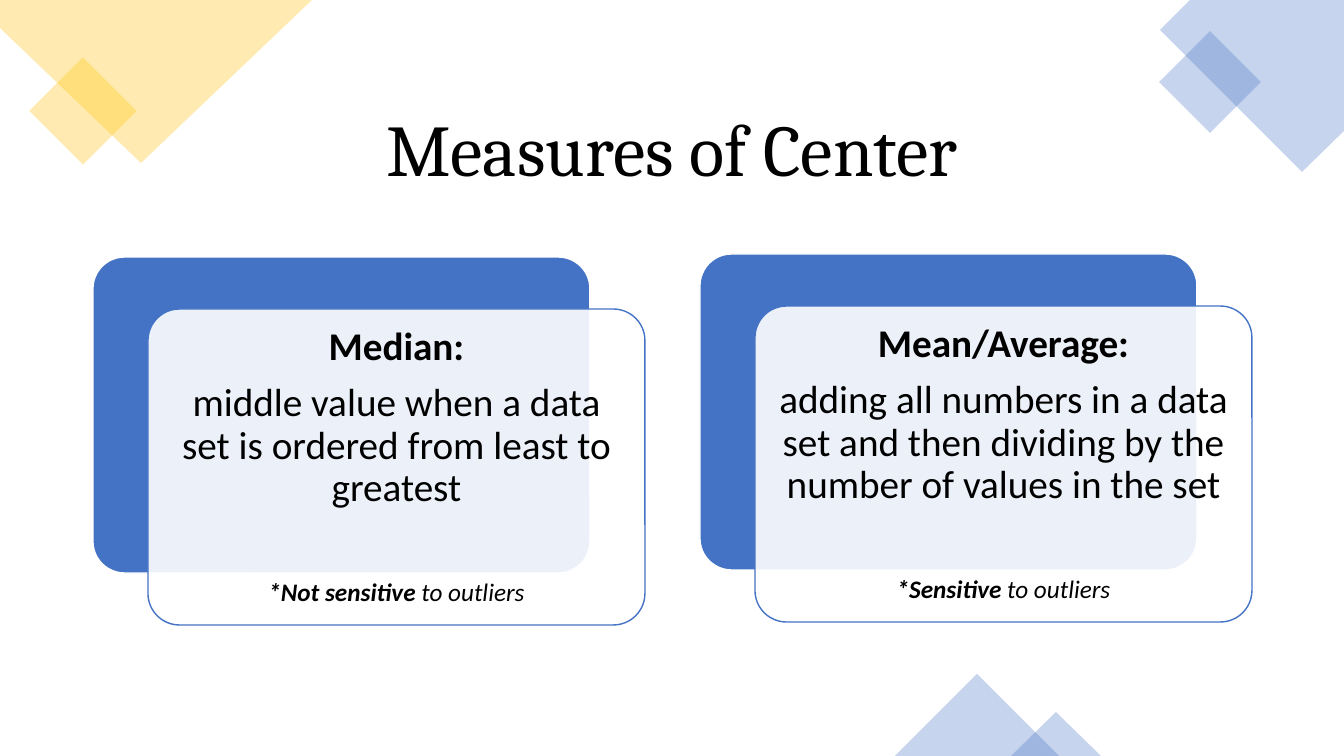
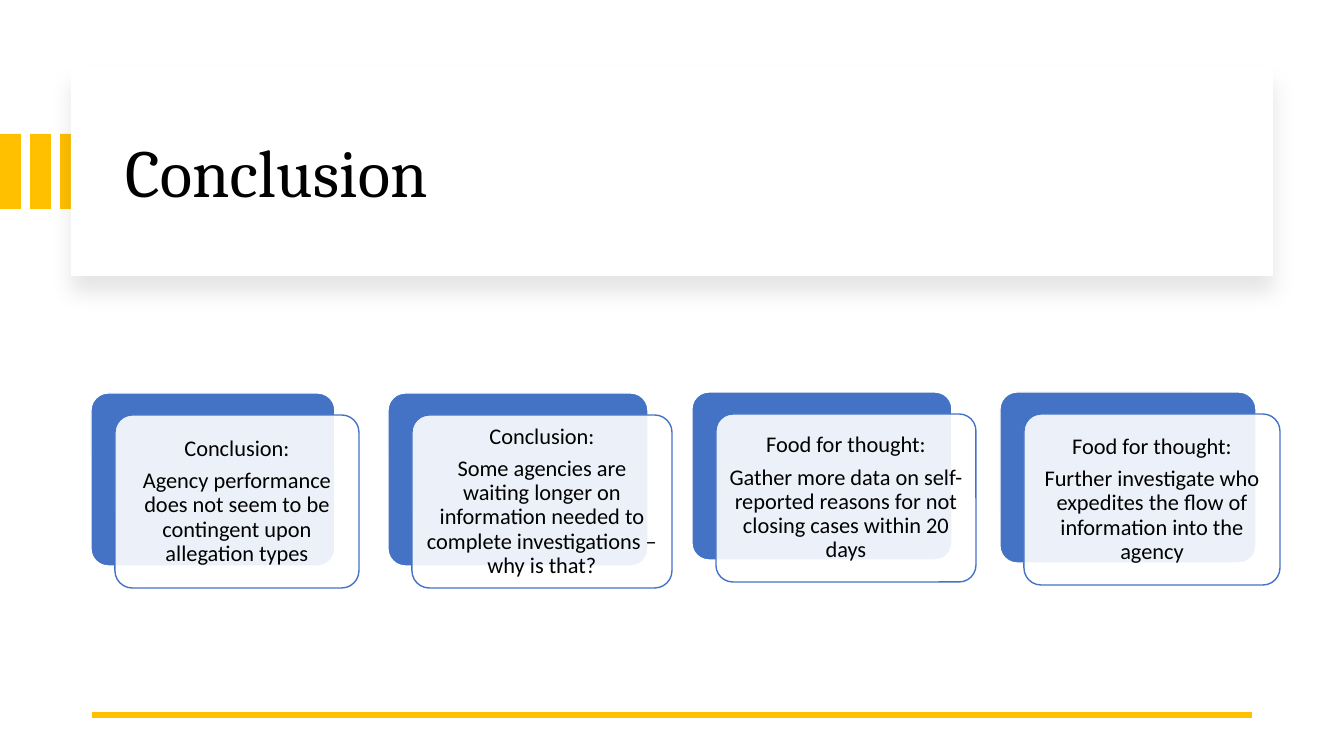
import pptx
import pptx.dml.color
import pptx.enum.shapes
import pptx.enum.text
import pptx.oxml
import pptx.oxml.ns
import pptx.util

PX = 914400 / 100.8
WIDTH, HEIGHT = 1344, 756
BLUE, GOLD, WHITE, BLACK = "4472C4", "FFC000", "FFFFFF", "000000"
LEFT = pptx.enum.text.PP_ALIGN.LEFT
CENTER = pptx.enum.text.PP_ALIGN.CENTER
MIDDLE = pptx.enum.text.MSO_ANCHOR.MIDDLE
RECTANGLE = pptx.enum.shapes.MSO_SHAPE.RECTANGLE
ROUNDED = pptx.enum.shapes.MSO_SHAPE.ROUNDED_RECTANGLE
TRIANGLE = pptx.enum.shapes.MSO_SHAPE.ISOSCELES_TRIANGLE
qn = pptx.oxml.ns.qn


def paint(fill, color, opacity=100):
    """Give a shape, line or font fill a solid colour."""
    fill.solid()
    fill.fore_color.rgb = pptx.dml.color.RGBColor.from_string(color)
    if opacity < 100:
        color_element = fill._xPr.find(qn("a:solidFill"))[0]
        alpha = color_element.makeelement(qn("a:alpha"), {"val": str(opacity * 1000)})
        color_element.append(alpha)


def write(frame, text, size, font="Calibri", align=CENTER, bold=False,
          italic=False, before=0, after=0, same_line=False):
    """Add text to a frame as a new paragraph, or at the end of the last one."""
    paragraph = frame.paragraphs[-1]
    if paragraph.runs and not same_line:
        paragraph = frame.add_paragraph()
    if not same_line:
        paragraph.alignment = align
        paragraph.line_spacing = 0.9
        paragraph.space_before = pptx.util.Pt(before)
        paragraph.space_after = pptx.util.Pt(after)
    run = paragraph.add_run()
    run.text = text
    run.font.name = font
    run.font.size = pptx.util.Pt(size)
    run.font.bold = bold
    run.font.italic = italic
    paint(run.font.fill, BLACK)


presentation = pptx.Presentation()
presentation.slide_width = round(WIDTH * PX)
presentation.slide_height = round(HEIGHT * PX)
title_only = presentation.slide_layouts[5]
measures = presentation.slides.add_slide(title_only)
conclusion = presentation.slides.add_slide(title_only)

# Corner shapes with cut edges
corners = [
    (GOLD, [(0, 0), (312, 0), (141, 163), (0, 28)]),
    (BLUE, [(1190, 0), (1344, 0), (1344, 131), (1302, 172), (1160, 30)]),
]
for color, points in corners:
    builder = measures.shapes.build_freeform(*points[0], scale=PX)
    builder.add_line_segments(points[1:], close=True)
    shape = builder.convert_to_shape()
    shape.shadow.inherit = False
    shape.line.fill.background()
    paint(shape.fill, color, 30)

# Diamonds, triangles, gold bars and, last, the title panel
decorations = [
    (measures, RECTANGLE, (45, 73, 76, 76), 45, GOLD, 30),
    (measures, RECTANGLE, (1174, 46, 72, 72), 45, BLUE, 30),
    (measures, TRIANGLE, (895, 674, 164, 82), 0, BLUE, 30),
    (measures, TRIANGLE, (1011, 712, 90, 44), 0, BLUE, 30),
]
for index in range(3):
    decorations.append((conclusion, RECTANGLE, (30 * index, 134, 21, 75), 0, GOLD, 100))
decorations.append((conclusion, RECTANGLE, (71, 67, 1202, 209), 0, WHITE, 100))
for slide, kind, box, rotation, color, opacity in decorations:
    shape = slide.shapes.add_shape(kind, *[round(value * PX) for value in box])
    shape.rotation = rotation
    shape.shadow.inherit = False
    shape.line.fill.background()
    paint(shape.fill, color, opacity)
panel = shape

# Soft shadow under the title panel
panel.element.spPr.find(qn("a:effectLst")).append(pptx.oxml.parse_xml(
    f'<a:outerShdw {pptx.oxml.ns.nsdecls("a")} blurRad="190500" dist="139700"'
    ' dir="5400000" algn="t" rotWithShape="0">'
    f'<a:srgbClr val="{BLACK}"><a:alpha val="10000"/></a:srgbClr></a:outerShdw>'))

# Titles, in front of the decorations
titles = [
    (measures, "Measures of Center", (92, 90, 1160, 125), 52, CENTER),
    (conclusion, "Conclusion", (115, 90, 1122, 171), 48, LEFT),
]
for slide, text, box, size, align in titles:
    title = slide.shapes.title
    title.left, title.top, title.width, title.height = [round(value * PX) for value in box]
    title.text_frame.vertical_anchor = MIDDLE
    write(title.text_frame, text, size, font="Cambria", align=align)
    title.element.getparent().append(title.element)

# Gold rule at the foot
rule = conclusion.shapes.add_connector(
    pptx.enum.shapes.MSO_CONNECTOR.STRAIGHT,
    *[round(value * PX) for value in (1252, 715, 92, 715)])
rule.line.width = pptx.util.Pt(4.5)
paint(rule.line.fill, GOLD)
rule.element.spPr.append(rule.element.makeelement(qn("a:effectLst"), {}))

# Cards: box, heading, body, and the two parts of the note
large = {"slide": measures, "shift": (55, 52), "inset": 12, "size": 28, "after": 10, "bold": True}
small = {"slide": conclusion, "shift": (24, 22), "inset": 7, "size": 16, "after": 6, "bold": False}
cards = [
    (large, (93, 257, 497, 316), "Median:",
     "middle value when a data set is ordered from least to greatest",
     ("*Not sensitive", " to outliers")),
    (large, (700, 254, 497, 316), "Mean/Average:",
     "adding all numbers in a data set and then dividing by the number of values in the set",
     ("*Sensitive", " to outliers")),
    (small, (91, 393, 244, 173), "Conclusion:",
     "Agency performance does not seem to be contingent upon allegation types", None),
    (small, (388, 393, 260, 173), "Conclusion:",
     "Some agencies are waiting longer on information needed to complete "
     "investigations – why is that?", None),
    (small, (692, 392, 260, 168), "Food for thought:",
     "Gather more data on self-reported reasons for not closing cases within 20 days", None),
    (small, (1000, 392, 256, 171), "Food for thought:",
     "Further investigate who expedites the flow of information into the agency", None),
]
for style, (left, top, width, height), heading, body, note in cards:
    right_shift, down_shift = style["shift"]
    layers = [
        (left, top, BLUE, 100, WHITE),
        (left + right_shift, top + down_shift, WHITE, 90, BLUE),
    ]
    for layer_left, layer_top, color, opacity, outline in layers:
        box = (layer_left, layer_top, width, height)
        shape = style["slide"].shapes.add_shape(ROUNDED, *[round(value * PX) for value in box])
        shape.adjustments[0] = 0.1
        shape.shadow.inherit = False
        paint(shape.fill, color, opacity)
        paint(shape.line.fill, outline)
        shape.line.width = pptx.util.Pt(1)

    # The front layer holds the text
    frame = shape.text_frame
    frame.word_wrap = True
    frame.vertical_anchor = MIDDLE
    inset = round(style["inset"] * PX)
    frame.margin_left = frame.margin_top = frame.margin_right = frame.margin_bottom = inset
    size, after = style["size"], style["after"]
    write(frame, heading, size, bold=style["bold"], after=after)
    write(frame, body, size, after=after)
    if note:
        write(frame, note[0], 18, bold=True, italic=True, before=40, after=6)
        write(frame, note[1], 18, italic=True, same_line=True)

presentation.save("out.pptx")
